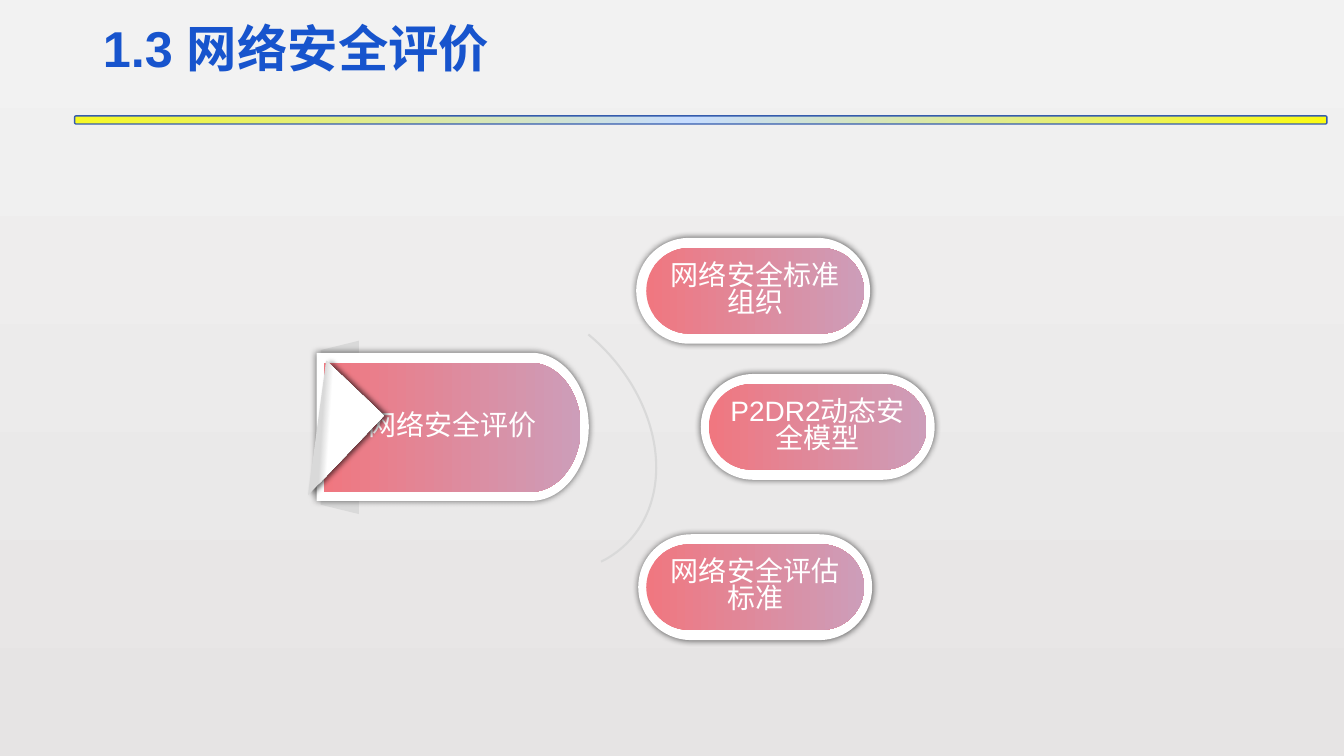
import math

from pptx import Presentation, util as u
from pptx.dml.color import RGBColor
from pptx.enum import shapes, text
from pptx.oxml import parse_xml
from pptx.oxml.ns import nsdecls, qn

PINK = [(0, "F07780"), (100, "CD9DB9")]
SHAPE = shapes.MSO_SHAPE


def rgb(value):
    return RGBColor.from_string(value)


def paint(owner, root, stops, angle=0, radial=False):
    """Give owner.fill a gradient; root is the XML element that holds it."""
    owner.fill.gradient()
    old = next(root.iter(qn("a:gradFill")))
    marks = "".join(f'<a:gs pos="{pos * 1000}"><a:srgbClr val="{value}"/></a:gs>'
                    for pos, value in stops)
    if radial:
        course = '<a:path path="circle"><a:fillToRect l="100000" t="100000"/></a:path>'
    else:
        course = f'<a:lin ang="{angle * 60000}" scaled="0"/>'
    new = parse_xml(f'<a:gradFill {nsdecls("a")} rotWithShape="1">'
                    f'<a:gsLst>{marks}</a:gsLst>{course}</a:gradFill>')
    old.getparent().replace(old, new)


def style(sp, fill, angle=0, radial=False):
    """Fill with a hex colour or a list of gradient stops, without line or shadow."""
    sp.shadow.inherit = False
    sp.line.fill.background()
    if isinstance(fill, str):
        sp.fill.solid()
        sp.fill.fore_color.rgb = rgb(fill)
    else:
        paint(sp, sp._element.spPr, fill, angle, radial)
    return sp


def add_shadow(sp, blur, dist=0):
    effects = sp._element.spPr.find(qn("a:effectLst"))
    effects.append(parse_xml(
        f'<a:outerShdw {nsdecls("a")} blurRad="{u.Pt(blur)}" dist="{u.Pt(dist)}" dir="0" '
        'algn="ctr" rotWithShape="0"><a:srgbClr val="000000"><a:alpha val="60000"/>'
        '</a:srgbClr></a:outerShdw>'))


def add_preset(s, kind, box, rotation=0, adjust=()):
    sp = s.shapes.add_shape(kind, *map(u.Inches, box))
    sp.rotation = rotation
    for i, value in enumerate(adjust):
        sp.adjustments[i] = value
    return sp


def add_tab(s, box):
    """Rectangle whose right end is a half ellipse."""
    left, top, width, height = box
    ry = height / 2
    rx = 0.78 * ry
    cx, cy = left + width - rx, top + ry
    angles = [math.radians(a) for a in range(-90, 91, 3)]
    points = [(cx + rx * math.cos(a), cy + ry * math.sin(a)) for a in angles]
    corners = [(left, top)] + points + [(left, top + height)]
    start, *rest = [(u.Inches(x), u.Inches(y)) for x, y in corners]
    builder = s.shapes.build_freeform(*start)
    builder.add_line_segments(rest, close=True)
    return builder.convert_to_shape()


def add_label(sp, label):
    tf = sp.text_frame
    tf.margin_left = tf.margin_right = tf.margin_top = tf.margin_bottom = 0
    tf.word_wrap = True
    tf.vertical_anchor = text.MSO_ANCHOR.MIDDLE
    tf.text = label
    p = tf.paragraphs[0]
    p.alignment = text.PP_ALIGN.CENTER
    p.line_spacing = 0.8
    set_font(p.runs[0], 20, "FFFFFF")


def set_font(r, size, color, bold=False):
    r.font.name = "Arial"
    r.font.size = u.Pt(size)
    r.font.bold = bold
    r.font.color.rgb = rgb(color)


def add_heading(s, title, box):
    left, top, width, height = box
    bar = add_preset(s, SHAPE.ROUNDED_RECTANGLE, (left - 0.18, top + 1.08, 12.42, 0.08))
    style(bar, [(0, "FBFB11"), (51, "C6DCFF"), (100, "F7F923")], radial=True)
    bar.line.color.rgb = rgb("355CAD")
    bar.line.width = u.Pt(1)

    sp = s.shapes.title
    sp.left, sp.top, sp.width, sp.height = map(u.Inches, box)
    tf = sp.text_frame
    tf.auto_size = text.MSO_AUTO_SIZE.NONE
    tf.vertical_anchor = text.MSO_ANCHOR.MIDDLE
    tf.text = title
    p = tf.paragraphs[0]
    p.alignment = text.PP_ALIGN.LEFT
    p.line_spacing = 0.9
    set_font(p.runs[0], 36, "1754CD", bold=True)


def add_topic(s, label, box):
    """Large tab with a folded corner on its left side."""
    left, top, width, height = box
    style(add_preset(s, SHAPE.TRAPEZOID, (left - 0.63, top + 0.55, 1.72, 0.38), 270, [0.245]),
          "D9D9D9")
    add_shadow(style(add_tab(s, box), "FFFFFF"), 5)
    face = style(add_tab(s, (left + 0.07, top + 0.1, width - 0.15, height - 0.19)), PINK)
    add_label(face, label)
    fold = add_preset(s, SHAPE.RIGHT_TRIANGLE, (left - 0.39, top + 0.2, 0.79, 1.09), 223.6)
    add_shadow(style(fold, [(53, "D9D9D9"), (59, "FFFFFF")], 140), 4, 3)


def add_pill(s, label, box, inset):
    left, top, width, height = box
    rim = add_preset(s, SHAPE.ROUNDED_RECTANGLE, box, adjust=[0.5])
    add_shadow(style(rim, "FFFFFF"), 5)
    face = add_preset(s, SHAPE.ROUNDED_RECTANGLE,
                      (left + inset, top + 0.1, width - 0.16, height - 0.2), adjust=[0.5])
    add_label(style(face, PINK), label)


def add_branches(s, branches, box):
    """Pills placed by their offset from the box, with an arc on their left."""
    left, top = box[:2]
    for label, dx, dy, inset in branches:
        add_pill(s, label, (left + dx, top + dy, 2.32, 1.05), inset)
    arc = add_preset(s, SHAPE.ARC, (left - 2.74, top + 0.73, 3.1, 2.41), 45, [156.728, 7.005])
    arc.shadow.inherit = False
    arc.fill.background()
    arc.line.color.rgb = rgb("D9D9D9")
    arc.line.width = u.Pt(1.5)


def main():
    prs = Presentation()
    prs.slide_width, prs.slide_height = u.Inches(13.33), u.Inches(7.5)
    s = prs.slides.add_slide(prs.slide_layouts[5])
    paint(s.background, s._element, [(0, "F2F2F2"), (100, "E6E4E4")], 90)
    add_heading(s, "1.3 网络安全评价", (0.92, 0.07, 11.5, 0.87))
    add_topic(s, "网络安全评价", (3.14, 3.5, 2.7, 1.47))
    add_branches(s, [
        ("网络安全标准组织", 0, 0, 0.1),
        ("P2DR2动态安全模型", 0.64, 1.35, 0.08),
        ("网络安全评估标准", 0.02, 2.94, 0.08),
    ], (6.31, 2.36, 2.96, 3.99))
    prs.save("out.pptx")


if __name__ == "__main__":
    main()
